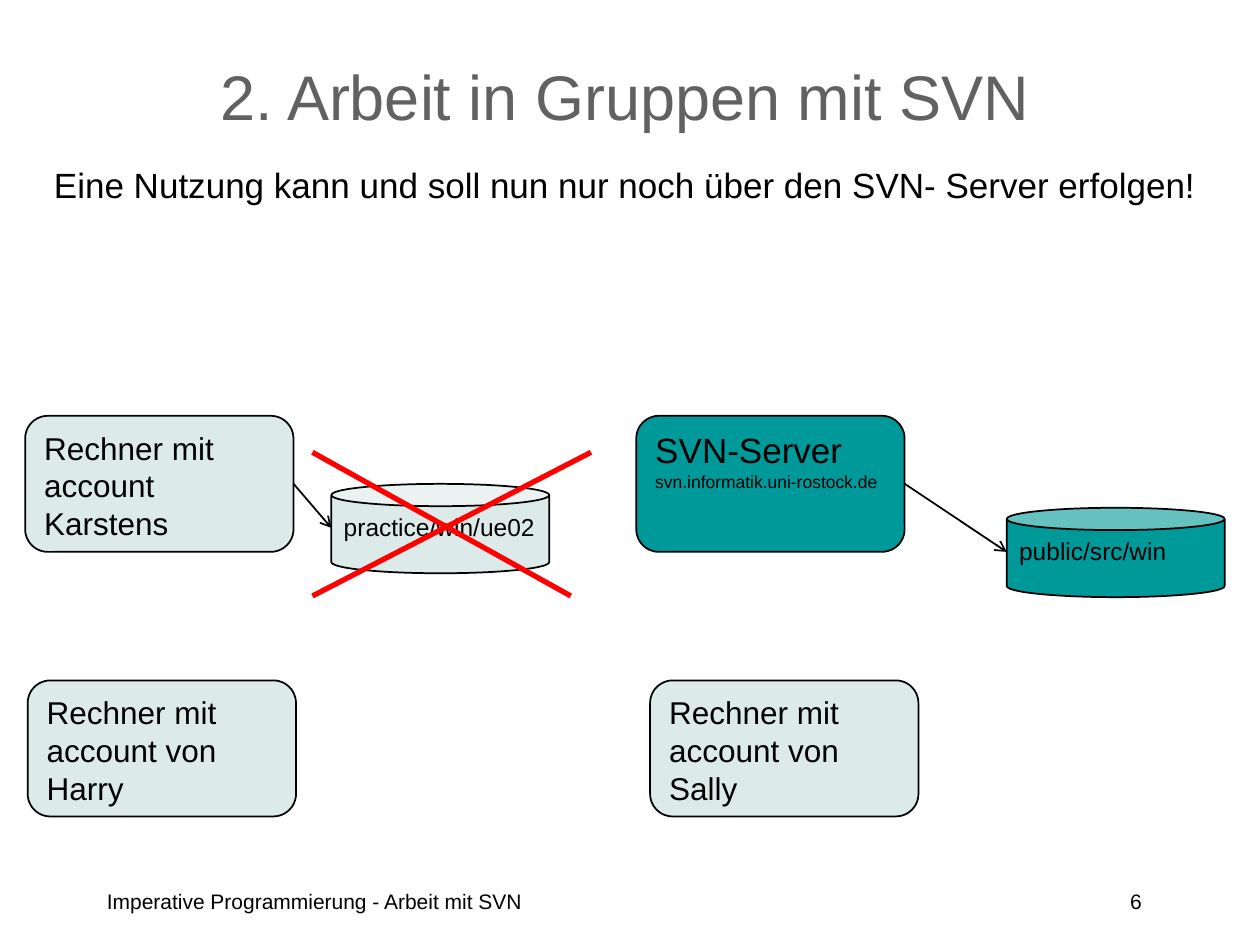
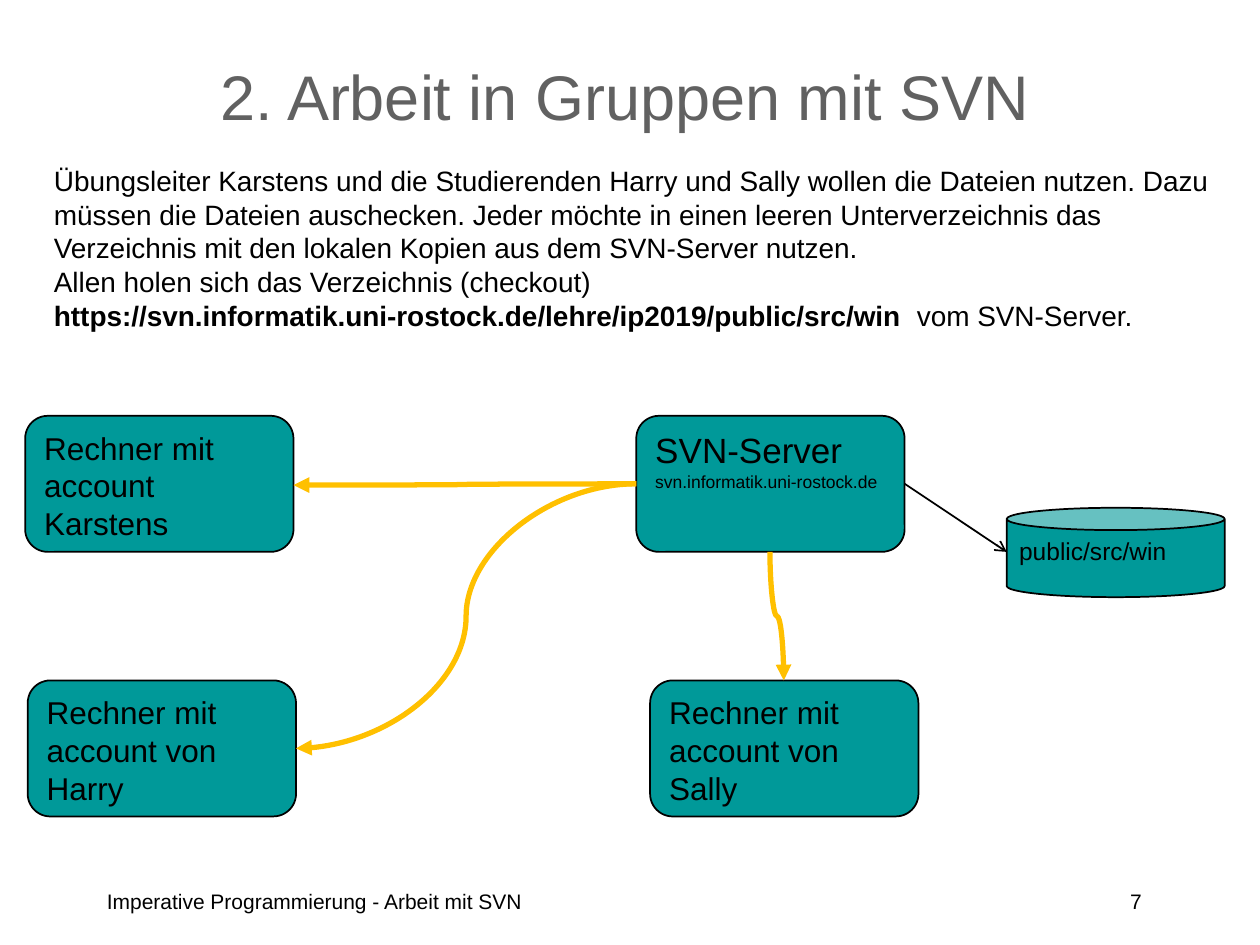
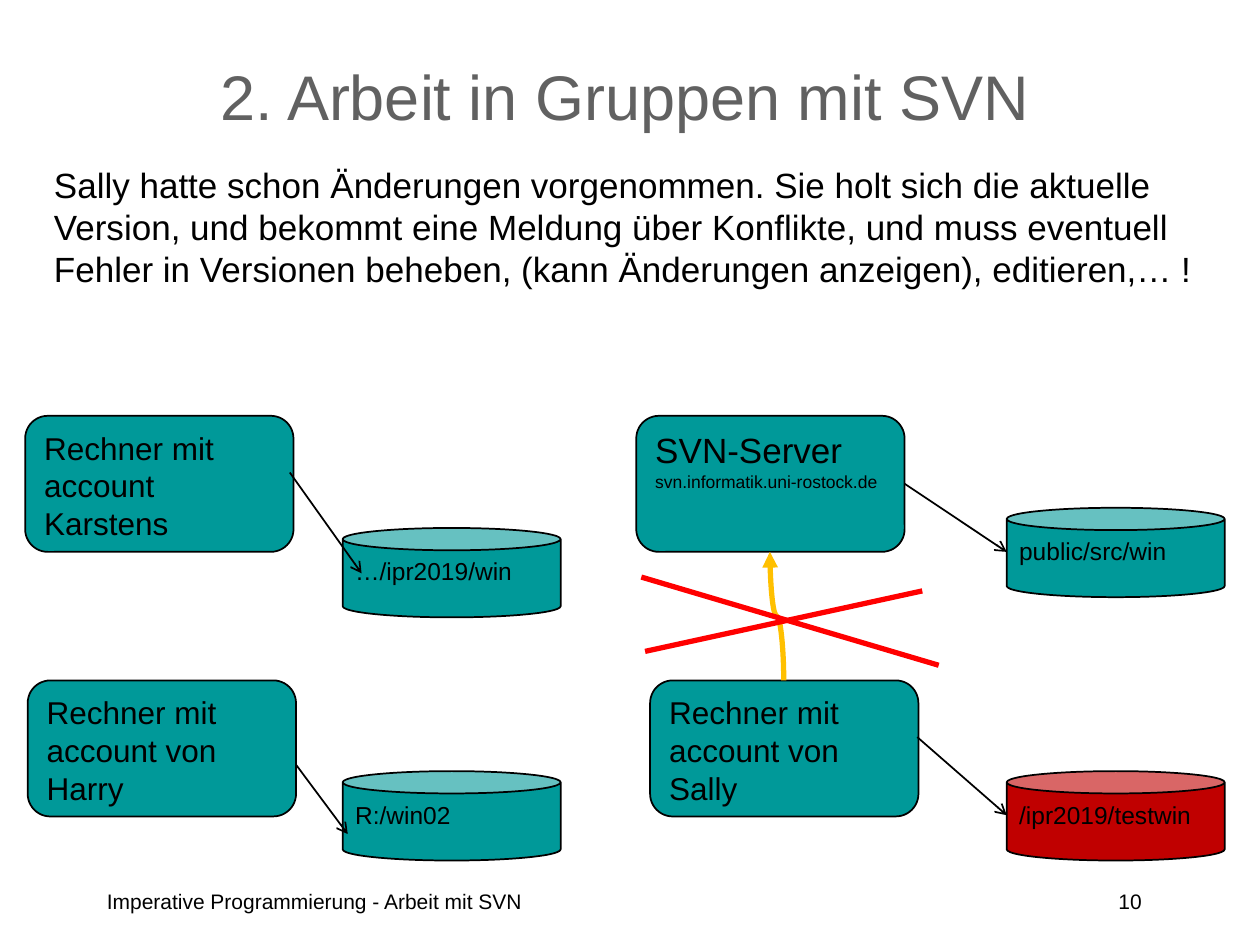
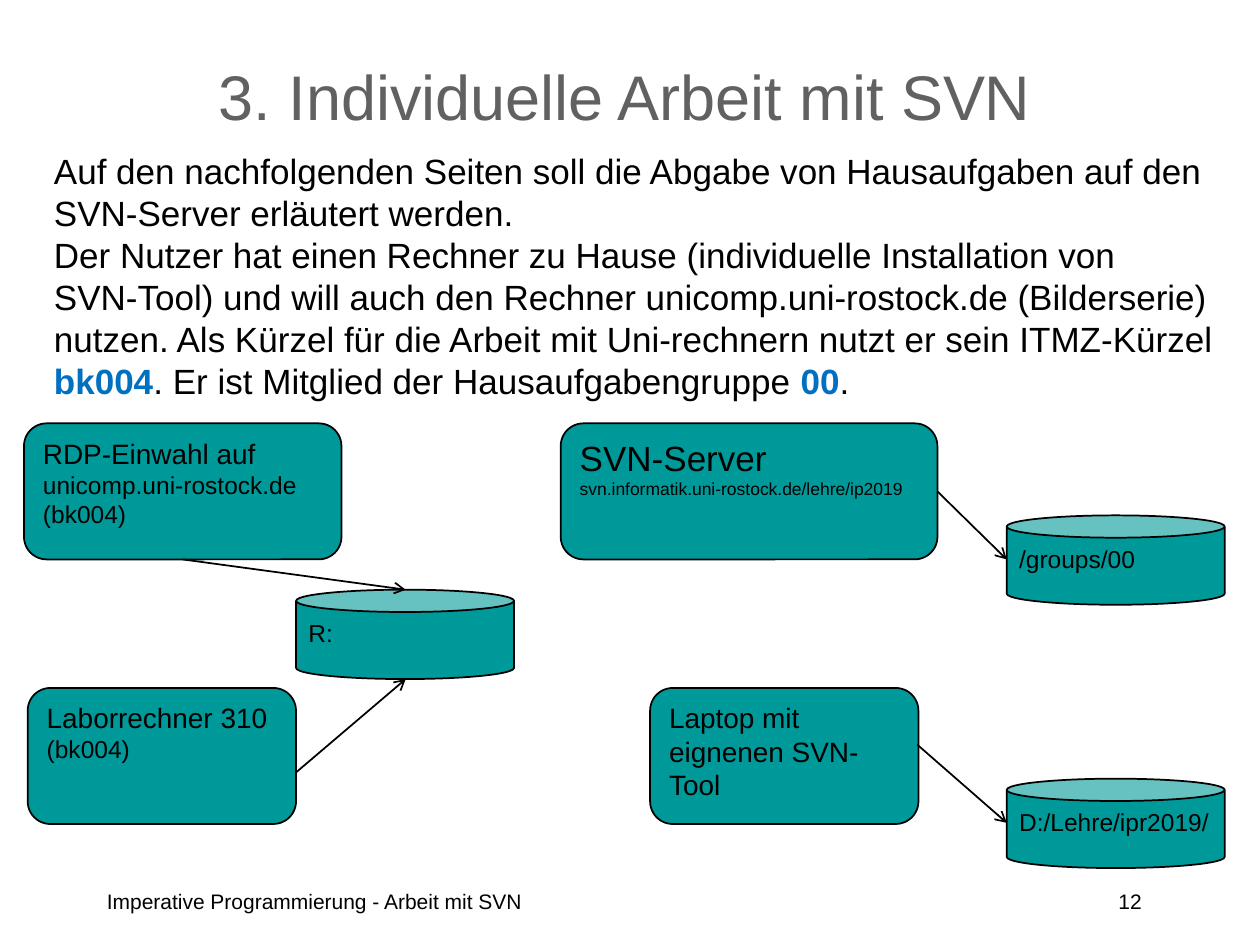
from dataclasses import dataclass, replace
from typing import NamedTuple, Optional

from lxml.etree import SubElement
from pptx import Presentation
from pptx.dml.color import RGBColor
from pptx.enum.shapes import MSO_CONNECTOR, MSO_SHAPE
from pptx.enum.text import MSO_ANCHOR, PP_ALIGN
from pptx.oxml.ns import qn
from pptx.util import Inches, Pt

FONT = "Arial"
FOOTER = "Imperative Programmierung - Arbeit mit SVN"
GROUP_TITLE = "2. Arbeit in Gruppen mit SVN"
COLORS = {
    "black": "000000",
    "title": "616161",
    "teal": "009999",
    "pale": "DDEAEA",
    "conflict": "C00000",
    "cross": "FF0000",
    "transfer": "FFC000",
    "highlight": "0070C0",
}
BOX_WIDTH, BOX_HEIGHT = 2.13, 1.08
CAN_WIDTH, CAN_HEIGHT = 1.73, 0.71
CAN_LEFT = 7.99
BOTTOM, RIGHT = 2, 3


class Run(NamedTuple):
    text: str
    size: float
    color: str = "black"
    bold: bool = False


Paragraph = tuple[Run, ...]


@dataclass(frozen=True)
class Computer:
    name: str
    left: float
    top: float
    text: tuple[Paragraph, ...]
    width: float = BOX_WIDTH
    fill: str = "teal"


@dataclass(frozen=True)
class Store:
    left: float
    top: float
    label: str
    fill: str = "teal"


@dataclass(frozen=True)
class Link:
    start: tuple[float, float]
    end: tuple[float, float]
    color: str = "black"
    width: float = 1
    head: Optional[str] = "arrow"
    curved: bool = False
    vertical: bool = False
    source: str = ""
    side: int = RIGHT


@dataclass(frozen=True)
class Page:
    title: str
    number: int
    body: tuple[Paragraph, ...]
    computers: tuple[Computer, ...]
    stores: tuple[Store, ...]
    links: tuple[Link, ...]
    body_top: float = 1.25
    body_height: float = 1.7


def lines(size: float, *texts: str) -> tuple[Paragraph, ...]:
    return tuple((Run(text, size),) for text in texts)


def server(address: str, left: float, top: float, width: float = BOX_WIDTH) -> Computer:
    return Computer("server", left, top, lines(20, "SVN-Server") + lines(10, address), width)


def group_computers(fill: str = "teal") -> tuple[Computer, ...]:
    users = (
        ("Harry", 0.22, 5.4, "von Harry"),
        ("Sally", 5.16, 5.4, "von Sally"),
        ("Karstens", 0.2, 3.3, "Karstens"),
    )
    return (server("svn.informatik.uni-rostock.de", 5.05, 3.3),) + tuple(
        Computer(name, left, top, lines(18, f"Rechner mit account {owner}"), fill=fill)
        for name, left, top, owner in users
    )


def cross(*strokes: tuple[tuple[float, float], tuple[float, float]]) -> tuple[Link, ...]:
    return tuple(Link(a, b, "cross", 3, None) for a, b in strokes)


def shift(computer: Computer, by: float) -> Computer:
    return replace(computer, top=computer.top + by)


TRANSFER = Link((5.05, 3.84), (2.33, 3.85), "transfer", 3, "triangle", True)
SERVER_STORE = Store(CAN_LEFT, 4.03, "public/src/win")
SERVER_LINK = Link((7.18, 3.84), (CAN_LEFT, 4.38), source="server")
SERVER_BOTTOM, SALLY_TOP = (6.11, 4.38), (6.22, 5.4)

PAGES = (
    Page(
        GROUP_TITLE, 6,
        lines(20, "Eine Nutzung kann und soll nun nur noch über den SVN- Server erfolgen!"),
        group_computers("pale"),
        (Store(2.63, 3.84, "practice/win/ue02", "pale"), SERVER_STORE),
        (Link((2.33, 3.84), (2.63, 4.19), source="Karstens"), SERVER_LINK)
        + cross(((2.48, 3.59), (4.53, 4.73)), ((2.48, 4.73), (4.69, 3.59))),
    ),
    Page(
        GROUP_TITLE, 7,
        lines(
            16,
            "Übungsleiter Karstens und die Studierenden Harry und Sally wollen die Dateien nutzen. Dazu",
            "müssen die Dateien auschecken. Jeder möchte in einen leeren Unterverzeichnis das",
            "Verzeichnis mit den lokalen Kopien aus dem SVN-Server nutzen.",
            "Allen holen sich das Verzeichnis (checkout)",
        ) + ((
            Run("https://svn.informatik.uni-rostock.de/lehre/ip2019/public/src/win  ", 16, bold=True),
            Run("vom SVN-Server.", 16),
        ),),
        group_computers(),
        (SERVER_STORE,),
        (
            SERVER_LINK,
            TRANSFER,
            replace(TRANSFER, end=(2.35, 5.94)),
            replace(TRANSFER, start=SERVER_BOTTOM, end=SALLY_TOP, vertical=True),
        ),
        body_height=2.39,
    ),
    Page(
        GROUP_TITLE, 10,
        lines(
            20,
            "Sally hatte schon Änderungen vorgenommen. Sie holt sich die aktuelle",
            "Version, und bekommt eine Meldung über Konflikte, und muss eventuell",
            "Fehler in Versionen beheben, (kann Änderungen anzeigen), editieren,… !",
        ),
        group_computers(),
        (
            SERVER_STORE,
            Store(2.72, 4.19, "…/ipr2019/win"),
            Store(2.72, 6.12, "R:/win02"),
            Store(CAN_LEFT, 6.12, "/ipr2019/testwin", "conflict"),
        ),
        (
            SERVER_LINK,
            Link((2.35, 6.07), (2.76, 6.62)),
            Link((2.3, 3.75), (2.87, 4.55)),
            Link((7.28, 5.85), (CAN_LEFT, 6.47)),
            replace(TRANSFER, start=SALLY_TOP, end=SERVER_BOTTOM, vertical=True),
        ) + cross(((5.09, 4.58), (7.45, 5.28)), ((5.12, 5.17), (7.32, 4.69))),
    ),
    Page(
        "3. Individuelle Arbeit mit SVN", 12,
        lines(
            20,
            "Auf den nachfolgenden Seiten soll die Abgabe von Hausaufgaben auf den",
            "SVN-Server erläutert werden.",
            "Der Nutzer hat einen Rechner zu Hause (individuelle Installation von",
            "SVN-Tool) und will auch den Rechner unicomp.uni-rostock.de (Bilderserie)",
            "nutzen. Als Kürzel für die Arbeit mit Uni-rechnern nutzt er sein ITMZ-Kürzel",
        ) + ((
            Run("bk004", 20, "highlight", True),
            Run(". Er ist Mitglied der Hausaufgabengruppe ", 20),
            Run("00", 20, "highlight", True),
            Run(".", 20),
        ),),
        tuple(shift(computer, 0.06) for computer in (
            server("svn.informatik.uni-rostock.de/lehre/ip2019", 4.45, 3.3, 2.99),
            Computer("lab", 0.22, 5.4, lines(16, "Laborrechner 310") + lines(14, "(bk004)")),
            Computer("laptop", 5.16, 5.4, lines(16, "Laptop mit eignenen SVN-Tool")),
            Computer(
                "remote", 0.19, 3.3,
                ((Run("RDP-Einwahl auf ", 16), Run("unicomp.uni-rostock.de", 14)),)
                + lines(14, "(bk004)"),
                2.52,
            ),
        )),
        (
            Store(CAN_LEFT, 4.09, "/groups/00"),
            Store(2.35, 4.68, "R:"),
            Store(CAN_LEFT, 6.18, "D:/Lehre/ipr2019/"),
        ),
        (
            Link((7.44, 3.9), (CAN_LEFT, 4.44), source="server"),
            Link((2.35, 6.13), (3.22, 5.39)),
            Link((1.45, 4.44), (3.22, 4.68), source="remote", side=BOTTOM),
            Link((7.28, 5.91), (CAN_LEFT, 6.53)),
        ),
        body_top=1.14,
        body_height=2.39,
    ),
)


def rgb(name: str) -> RGBColor:
    return RGBColor.from_string(COLORS[name])


def write(tf, paragraphs: tuple[Paragraph, ...], align=PP_ALIGN.LEFT, hanging: float = 0) -> None:
    tf.word_wrap = True
    for index, runs in enumerate(paragraphs):
        p = tf.paragraphs[0] if index == 0 else tf.add_paragraph()
        p.alignment = align
        if hanging:
            pPr = p._p.get_or_add_pPr()
            pPr.set("marL", str(Inches(hanging)))
            pPr.set("indent", str(-Inches(hanging)))
        for run in runs:
            r = p.add_run()
            r.text = run.text
            r.font.name = FONT
            r.font.size = Pt(run.size)
            r.font.bold = run.bold
            r.font.color.rgb = rgb(run.color)


def add_text(s, left: float, top: float, width: float, height: float,
             paragraphs: tuple[Paragraph, ...], align=PP_ALIGN.LEFT,
             anchor=MSO_ANCHOR.TOP, hanging: float = 0) -> None:
    sp = s.shapes.add_textbox(Inches(left), Inches(top), Inches(width), Inches(height))
    sp.text_frame.vertical_anchor = anchor
    write(sp.text_frame, paragraphs, align, hanging)


def add_node(s, kind, left: float, top: float, width: float, height: float,
             fill: str, paragraphs: tuple[Paragraph, ...]):
    sp = s.shapes.add_shape(kind, Inches(left), Inches(top), Inches(width), Inches(height))
    sp.shadow.inherit = False
    sp.fill.solid()
    sp.fill.fore_color.rgb = rgb(fill)
    sp.line.color.rgb = rgb("black")
    sp.line.width = Pt(1)
    sp.text_frame.vertical_anchor = MSO_ANCHOR.TOP
    write(sp.text_frame, paragraphs)
    return sp


def quarter_turned(link: Link) -> tuple[float, float, float, float]:
    (x1, y1), (x2, y2) = link.start, link.end
    cx, cy = (x1 + x2) / 2, (y1 + y2) / 2
    dx, dy = (y1 - y2) / 2, (x2 - x1) / 2
    return cx - dx, cy - dy, cx + dx, cy + dy


def add_link(s, link: Link, nodes: dict) -> None:
    kind = MSO_CONNECTOR.CURVE if link.curved else MSO_CONNECTOR.STRAIGHT
    ends = quarter_turned(link) if link.vertical else link.start + link.end
    cxn = s.shapes.add_connector(kind, *(Inches(v) for v in ends))
    if link.source:
        cxn.begin_connect(nodes[link.source], link.side)
    cxn.line.color.rgb = rgb(link.color)
    cxn.line.width = Pt(link.width)
    spPr = cxn._element.spPr
    if link.vertical:
        spPr.find(qn("a:xfrm")).set("rot", str(270 * 60000))
    if link.head:
        SubElement(spPr.find(qn("a:ln")), qn("a:tailEnd")).set("type", link.head)
    SubElement(spPr, qn("a:effectLst"))


def add_frame(s, page: Page) -> None:
    add_text(s, 0.75, 7, 5.83, 0.33, lines(12, FOOTER))
    add_text(s, 7.08, 7, 2.08, 0.33, lines(12, str(page.number)), PP_ALIGN.RIGHT)
    add_text(s, 0.67, 0.17, 8.58, 1.17, ((Run(page.title, 36, "title"),),),
             PP_ALIGN.CENTER, MSO_ANCHOR.MIDDLE)


def add_page(prs, page: Page) -> None:
    s = prs.slides.add_slide(prs.slide_layouts[6])
    add_frame(s, page)
    add_text(s, 0.33, page.body_top, 9.5, page.body_height, page.body, hanging=0.5)
    nodes = {
        c.name: add_node(s, MSO_SHAPE.ROUNDED_RECTANGLE, c.left, c.top, c.width,
                         BOX_HEIGHT, c.fill, c.text)
        for c in page.computers
    }
    for store in page.stores:
        add_node(s, MSO_SHAPE.CAN, store.left, store.top, CAN_WIDTH, CAN_HEIGHT,
                 store.fill, lines(14, store.label))
    for link in page.links:
        add_link(s, link, nodes)


def main() -> None:
    prs = Presentation()
    prs.slide_width, prs.slide_height = Inches(10), Inches(7.5)
    for page in PAGES:
        add_page(prs, page)
    prs.save("out.pptx")


if __name__ == "__main__":
    main()
